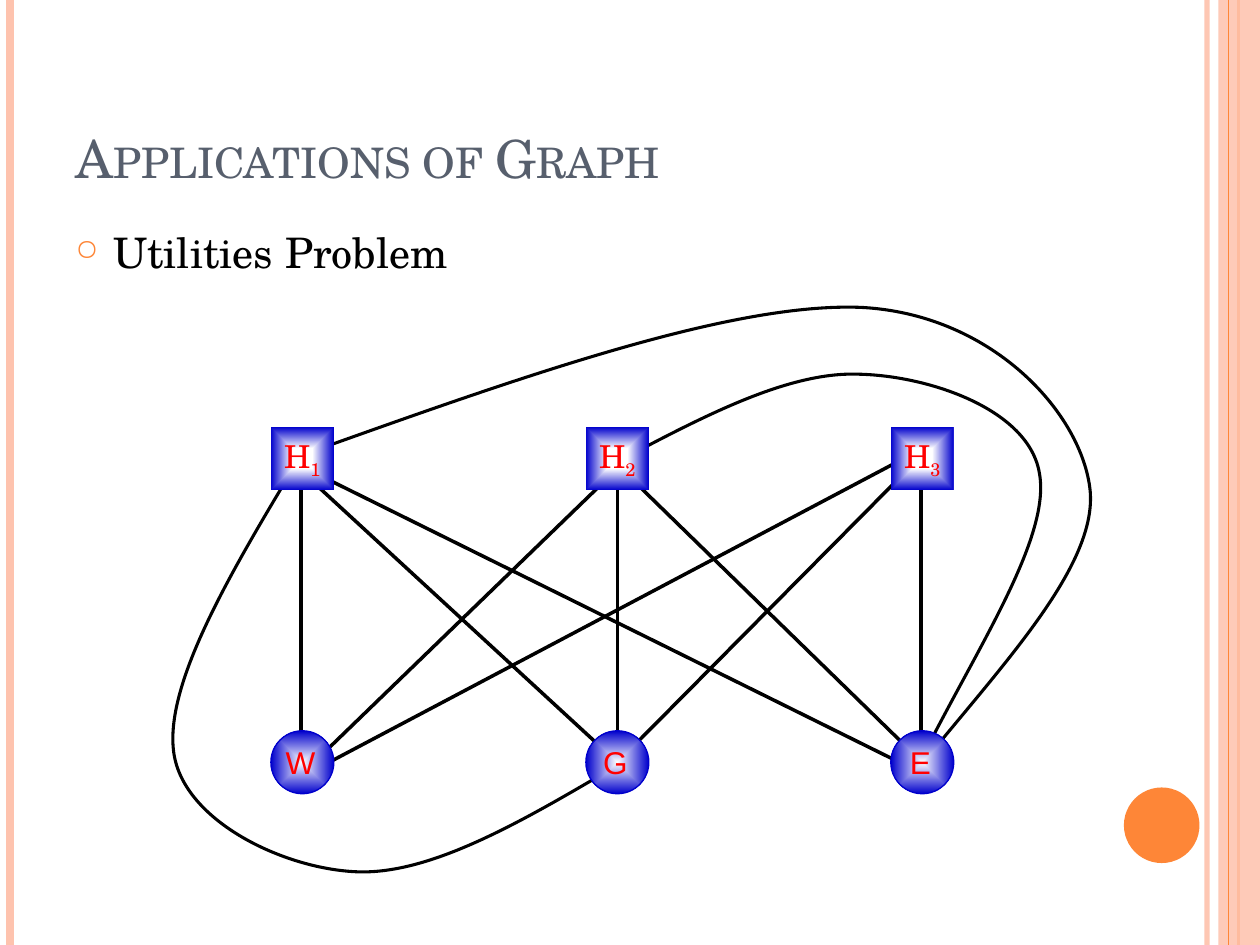
from lxml import etree
from pptx import Presentation
from pptx import util as u
from pptx.dml.color import RGBColor
from pptx.enum import shapes, text
from pptx.oxml.ns import qn

COLORS = {"peach": "FEC3AE", "orange": "FE8637", "slate": "575F6D", "black": "000000",
          "blue": "0000CC", "white": "FFFFFF", "red": "FF0000"}
SERIF, SANS = "TeX Gyre Schola", "Arial"
COLUMNS = (2.4, 4.9, 7.32)
HOUSE_Y, UTILITY_Y, NODE = 3.64, 6.05, 0.5

# Straight edges, utility end first
EDGES = [
    ((7.32, 6.05), (4.93, 3.72)), ((4.9, 6.05), (2.37, 3.72)), ((7.32, 6.14), (2.43, 3.72)),
    ((4.9, 6.05), (4.9, 3.72)), ((7.31, 6.05), (7.31, 3.72)), ((2.39, 6.05), (2.39, 3.72)),
    ((2.4, 6.14), (4.9, 3.72)), ((4.9, 6.05), (7.29, 3.64)), ((2.48, 6.12), (7.21, 3.62)),
]
# Curved edges: a start point, then three Bezier points per segment
CURVES = [
    [(2.35, 3.68), (1.82, 4.56), (1.3, 5.44), (1.38, 5.98), (1.46, 6.52), (2.26, 6.9),
     (2.84, 6.92), (3.43, 6.94), (4.16, 6.51), (4.89, 6.08)],
    [(4.89, 3.67), (5.57, 3.31), (6.25, 2.95), (6.81, 2.97), (7.37, 2.98), (8.17, 3.25),
     (8.25, 3.76), (8.34, 4.27), (7.75, 5.15), (7.31, 6.03)],
    [(2.43, 3.6), (4.11, 3), (5.79, 2.4), (6.83, 2.44), (7.86, 2.49), (8.57, 3.26),
     (8.65, 3.87), (8.73, 4.48), (7.94, 5.29), (7.29, 6.1)],
]


def color(name):
    return RGBColor.from_string(COLORS[name])


def child(parent, tag, **attributes):
    return etree.SubElement(parent, qn(tag), attributes)


def set_alpha(fill, percent):
    """Make the colour of a solid fill see-through."""
    child(fill.find(qn("a:srgbClr")), "a:alpha", val=str(percent * 1000))


def set_font(font, face, size, name):
    font.name, font.size = face, u.Pt(size)
    font.color.rgb = color(name)


def add_line(page, start, end, name, width):
    line = page.shapes.add_connector(
        shapes.MSO_CONNECTOR.STRAIGHT, *(u.Inches(value) for value in (*start, *end)))
    line.line.color.rgb = color(name)
    line.line.width = u.Pt(width)
    child(line._element.spPr, "a:effectLst")
    return line


def add_solid(page, kind, box, name):
    shape = page.shapes.add_shape(kind, *map(u.Inches, box))
    shape.shadow.inherit = False
    shape.fill.solid()
    shape.fill.fore_color.rgb = color(name)
    shape.line.fill.background()
    return shape


def add_curve(page, points):
    start, *rest = [(u.Inches(x), u.Inches(y)) for x, y in points]
    builder = page.shapes.build_freeform(*start)
    builder.add_line_segments(rest, close=False)
    curve = builder.convert_to_shape()
    curve.shadow.inherit = False
    curve.fill.background()
    curve.line.color.rgb = color("black")
    curve.line.width = u.Pt(1.75)
    # Turn each three line steps into one Bezier segment
    outline = next(curve._element.iter(qn("a:path")))
    steps = outline.findall(qn("a:lnTo"))
    for first in range(0, len(steps), 3):
        segment = child(outline, "a:cubicBezTo")
        for step in steps[first:first + 3]:
            segment.append(step[0])
            outline.remove(step)


def add_node(page, kind, center, white_stop):
    """Place a node with a white-to-blue glow and return its paragraph."""
    x, y = center
    box = (x - NODE / 2, y - NODE / 2, NODE, NODE)
    node = add_solid(page, kind, box, "blue")
    properties = node._element.spPr
    solid = properties.find(qn("a:solidFill"))
    glow = etree.Element(qn("a:gradFill"), rotWithShape="1")
    stops = child(glow, "a:gsLst")
    for position, name in ((white_stop, "white"), (100, "blue")):
        stop = child(stops, "a:gs", pos=str(position * 1000))
        child(stop, "a:srgbClr", val=COLORS[name])
    shade = child(glow, "a:path", path="shape")
    child(shade, "a:fillToRect", l="50000", t="50000", r="50000", b="50000")
    properties.replace(solid, glow)

    frame = node.text_frame
    frame.word_wrap = False
    frame.vertical_anchor = text.MSO_ANCHOR.MIDDLE
    para = frame.paragraphs[0]
    para.alignment = text.PP_ALIGN.CENTER
    return node, para


def add_house(page, center, number):
    _, para = add_node(page, shapes.MSO_SHAPE.RECTANGLE, center, 32)
    set_font(para.font, SERIF, 18, "red")
    para.add_run().text = "H"
    span = para.add_run()
    span.text = str(number)
    span.font._element.set("baseline", "-25000")


def add_utility(page, center, letter):
    node, para = add_node(page, shapes.MSO_SHAPE.OVAL, center, 0)
    node.line.color.rgb = color("blue")
    node.line.width = u.Pt(0.75)
    node.text_frame.margin_left = 0
    para.text = " " + letter
    set_font(para.font, SANS, 18, "red")


def add_frame(page, width, height):
    """Stripes along both edges and the round page marker."""
    def stripe(x, name, weight):
        return add_line(page, (x, 0), (x, height), name, weight)

    inner = stripe(9.58, "peach", 3)
    set_alpha(inner.line._ln.find(qn("a:solidFill")), 93)
    stripe(0.08, "peach", 4.5)
    stripe(9.83, "orange", 1.5)
    band = add_solid(page, shapes.MSO_SHAPE.RECTANGLE, (width - 0.33, 0, 0.33, height), "peach")
    set_alpha(band._element.spPr.find(qn("a:solidFill")), 87)
    stripe(9.75, "orange", 0.75)
    add_solid(page, shapes.MSO_SHAPE.OVAL, (8.92, 6.25, 0.6, 0.6), "orange")


def add_text(page, box, words, size, name, anchor):
    frame = page.shapes.add_textbox(*map(u.Inches, box)).text_frame
    frame.word_wrap = True
    frame.vertical_anchor = anchor
    para = frame.paragraphs[0]
    para.text = words
    set_font(para.font, SERIF, size, name)
    return para


def add_title(page, box):
    para = add_text(page, box, "Applications of Graph", 30, "slate", text.MSO_ANCHOR.BOTTOM)
    para.runs[0].font._element.set("cap", "small")


def add_body(page, box):
    para = add_text(page, box, "Utilities Problem", 24, "black", text.MSO_ANCHOR.TOP)
    para.space_before = u.Pt(6)
    properties = para._p.get_or_add_pPr()
    properties.set("marL", str(u.Inches(0.3)))
    properties.set("indent", str(u.Inches(-0.3)))
    bullet = [etree.Element(qn("a:buClr")), etree.Element(qn("a:buSzPct"), val="70000"),
              etree.Element(qn("a:buChar"), char="○")]
    child(bullet[0], "a:srgbClr", val=COLORS["orange"])
    default = properties.find(qn("a:defRPr"))
    for part in bullet:
        default.addprevious(part)


def add_graph(page):
    for points in CURVES:
        add_curve(page, points)
    for start, end in EDGES:
        add_line(page, start, end, "black", 2)
    for x, letter in zip(COLUMNS, "WGE"):
        add_utility(page, (x, UTILITY_Y), letter)
    for number, x in enumerate(COLUMNS, 1):
        add_house(page, (x, HOUSE_Y), number)


def main():
    deck = Presentation()
    deck.slide_width, deck.slide_height = u.Inches(10), u.Inches(7.5)
    page = deck.slides.add_slide(deck.slide_layouts[6])
    add_frame(page, 10, 7.5)
    add_title(page, (0.5, 0.3, 8.17, 1.25))
    add_body(page, (0.5, 1.75, 8.17, 5.33))
    add_graph(page)
    deck.save("out.pptx")


if __name__ == "__main__":
    main()
